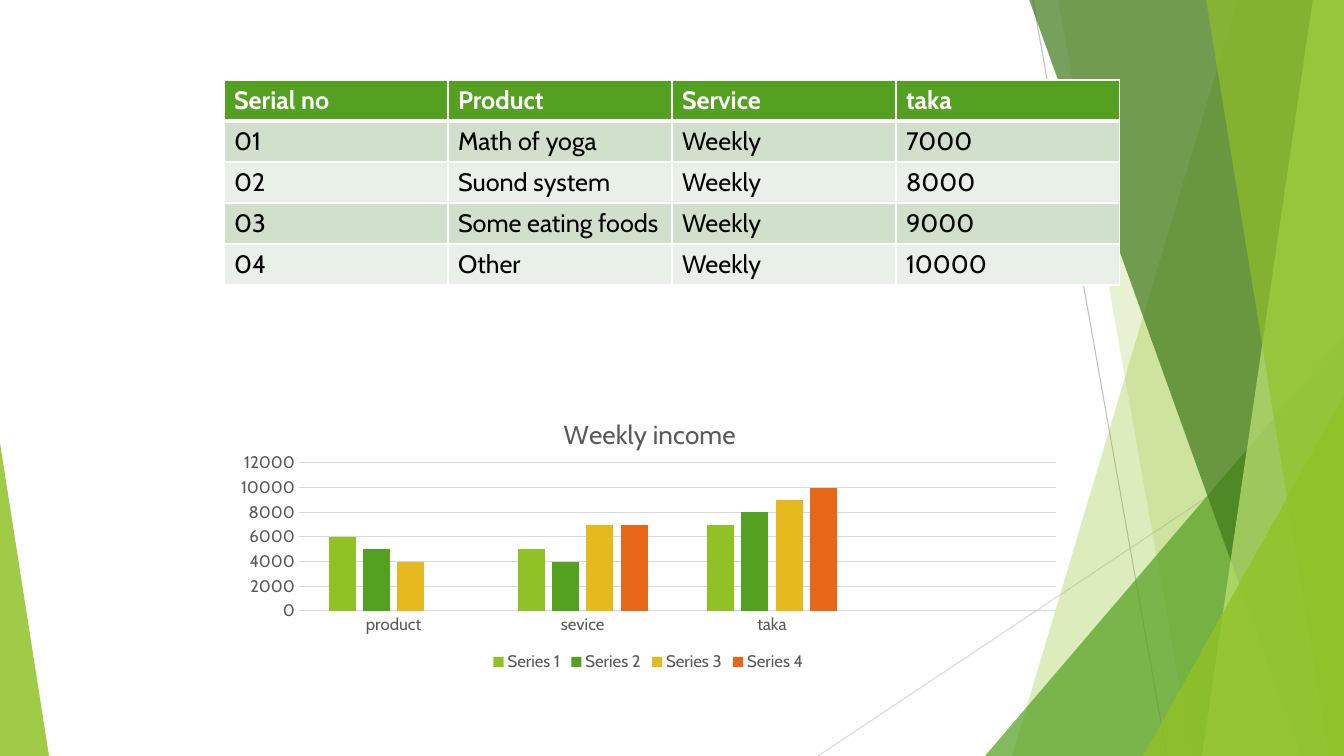
from lxml.etree import SubElement
from pptx import Presentation
from pptx.chart.data import CategoryChartData
from pptx.dml.color import RGBColor
from pptx.enum.chart import XL_CHART_TYPE as CT, XL_LEGEND_POSITION as LP, XL_TICK_MARK as TM
from pptx.enum.shapes import MSO_CONNECTOR as MC, MSO_SHAPE as MS
from pptx.oxml import parse_xml
from pptx.oxml.ns import nsdecls, qn
from pptx.util import Pt

PX = 914400 / 100.8
W, H = 1344, 756
FONT = "Cabin"
WHITE = RGBColor(0xFF, 0xFF, 0xFF)
BLACK = RGBColor(0, 0, 0)
GRAY = RGBColor(0x59, 0x59, 0x59)
SILVER = RGBColor(0xBF, 0xBF, 0xBF)
RULE = RGBColor(0xD9, 0xD9, 0xD9)
LIME = RGBColor(0x90, 0xC2, 0x26)
GREEN = RGBColor(0x54, 0xA0, 0x21)
FOREST = RGBColor(0x3F, 0x78, 0x19)
PALE_LIME = RGBColor(0xC0, 0xE4, 0x74)
GOLD = RGBColor(0xE6, 0xB9, 0x1E)
ORANGE = RGBColor(0xE7, 0x66, 0x18)
BANDS = [RGBColor(0xD1, 0xDF, 0xCD), RGBColor(0xE9, 0xF0, 0xE8)]

HAIRLINES = [((1033, 0), (1167, H), SILVER), ((W, 406), (818, H), RULE)]
FACETS = [
    ("band", (1238, 1012), LIME, 30),
    ("band", (1058, 1192), LIME, 20),
    ("triangle", (985, 336, 359, 1), GREEN, 72),
    ("band", (1029, 1301), FOREST, 70),
    ("band", (1313, 1202), PALE_LIME, 70),
    ("band", (1206, 1329), LIME, 65),
    ("triangle", (1143, 396, 201, 1), LIME, 80),
    ("triangle", (0, 443, 49, 0), LIME, 85),
]
TABLE_BOX = (224, 80, 896, 205)
ROWS = [
    ("Serial no", "Product", "Service", "taka"),
    ("01", "Math of yoga", "Weekly", "7000"),
    ("02", "Suond system", "Weekly", "8000"),
    ("03", "Some eating foods", "Weekly", "9000"),
    ("04", "Other", "Weekly", "10000"),
]
CHART_BOX = (224, 395, 849, 281)
PLOT_BOX = (299, 463, 757, 148)
TITLE_AT = (559, 412)
CHART_TITLE = "Weekly income"
CATEGORIES = ["product", "sevice", "taka", ""]
SERIES = [
    ("Series 1", (6000, 5000, 7000, None), LIME),
    ("Series 2", (5000, 4000, 8000, None), GREEN),
    ("Series 3", (4000, 7000, 9000, None), GOLD),
    ("Series 4", (None, 7000, 10000, None), ORANGE),
]


def px(*values):
    return [round(v * PX) for v in values]


def style(font, size, color, bold=False):
    font.name, font.size, font.bold = FONT, Pt(size), bold
    font.color.rgb = color


def add_hairline(shapes, start, end, color):
    s = shapes.add_connector(MC.STRAIGHT, *px(*start, *end))
    s.line.color.rgb = color
    s.line.width = Pt(0.75)
    SubElement(s._element.spPr, qn("a:effectLst"))


def add_facet(shapes, kind, geometry, color, alpha):
    if kind == "band":
        top_x, bottom_x = geometry
        builder = shapes.build_freeform(top_x, -1, scale=PX)
        builder.add_line_segments([(W, -1), (W, H), (bottom_x, H)], close=True)
        s = builder.convert_to_shape()
    else:
        x, y, width, apex = geometry
        s = shapes.add_shape(MS.ISOSCELES_TRIANGLE, *px(x, y, width, H - y))
        s.adjustments[0] = apex
    s.shadow.inherit = False
    s.line.fill.background()
    s.fill.solid()
    s.fill.fore_color.rgb = color
    clr = s._element.spPr.find(qn("a:solidFill"))[0]
    SubElement(clr, qn("a:alpha"), val=str(alpha * 1000))


def set_borders(cell, row):
    widths = {"L": 1, "R": 1, "T": 3 if row == 1 else 1, "B": 3 if row == 0 else 1}
    for i, (side, width) in enumerate(widths.items()):
        cell._tc.get_or_add_tcPr().insert(i, parse_xml(
            f'<a:ln{side} {nsdecls("a")} w="{Pt(width)}"><a:solidFill>'
            f'<a:srgbClr val="{WHITE}"/></a:solidFill></a:ln{side}>'))


def add_price_table(shapes):
    table = shapes.add_table(len(ROWS), len(ROWS[0]), *px(*TABLE_BOX)).table
    for r, row in enumerate(ROWS):
        for c, text in enumerate(row):
            cell = table.cell(r, c)
            cell.fill.solid()
            cell.fill.fore_color.rgb = BANDS[(r - 1) % 2] if r else GREEN
            set_borders(cell, r)
            run = cell.text_frame.paragraphs[0].add_run()
            run.text = text
            style(run.font, 18, BLACK if r else WHITE, r == 0)


def set_layout(parent, index, x, y, size=None):
    left, top, width, height = CHART_BOX
    values = {"x": (x - left) / width, "y": (y - top) / height}
    if size:
        values.update(w=size[0] / width, h=size[1] / height)
    for old in parent.findall(qn("c:layout")):
        parent.remove(old)
    target = '<c:layoutTarget val="inner"/>' if size else ""
    modes = '<c:xMode val="edge"/><c:yMode val="edge"/>'
    places = "".join(f'<c:{k} val="{v:.4f}"/>' for k, v in values.items())
    parent.insert(index, parse_xml(
        f'<c:layout {nsdecls("c")}><c:manualLayout>{target}{modes}{places}'
        '</c:manualLayout></c:layout>'))


def add_income_chart(shapes):
    data = CategoryChartData()
    data.categories = CATEGORIES
    for name, values, _ in SERIES:
        data.add_series(name, values)
    chart = shapes.add_chart(CT.COLUMN_CLUSTERED, *px(*CHART_BOX), data).chart
    style(chart.font, 12, GRAY)

    r = chart.chart_title.text_frame.paragraphs[0].add_run()
    r.text = CHART_TITLE
    style(r.font, 18.6, GRAY)
    set_layout(chart.chart_title._element, 1, *TITLE_AT)
    set_layout(chart._chartSpace.chart.plotArea, 0, *PLOT_BOX[:2], PLOT_BOX[2:])

    plot = chart.plots[0]
    plot.vary_by_categories = False
    plot.gap_width, plot.overlap = 219, -27
    for series, (_, _, color) in zip(plot.series, SERIES):
        series.format.fill.solid()
        series.format.fill.fore_color.rgb = color

    cat, val = chart.category_axis, chart.value_axis
    for axis in (cat, val):
        axis.major_tick_mark = axis.minor_tick_mark = TM.NONE
        style(axis.tick_labels.font, 12, GRAY)
    val.minimum_scale, val.maximum_scale, val.major_unit = 0, 12000, 2000
    val.has_major_gridlines = True
    for line in (cat.format.line, val.major_gridlines.format.line):
        line.color.rgb = RULE
        line.width = Pt(0.75)
    val.format.line.fill.background()

    chart.has_legend = True
    chart.legend.position = LP.BOTTOM
    chart.legend.include_in_layout = False
    style(chart.legend.font, 12, GRAY)


def main():
    prs = Presentation()
    prs.slide_width, prs.slide_height = px(W, H)
    shapes = prs.slides.add_slide(prs.slide_layouts[6]).shapes
    for hairline in HAIRLINES:
        add_hairline(shapes, *hairline)
    for facet in FACETS:
        add_facet(shapes, *facet)
    add_price_table(shapes)
    add_income_chart(shapes)
    prs.save("out.pptx")


if __name__ == "__main__":
    main()
